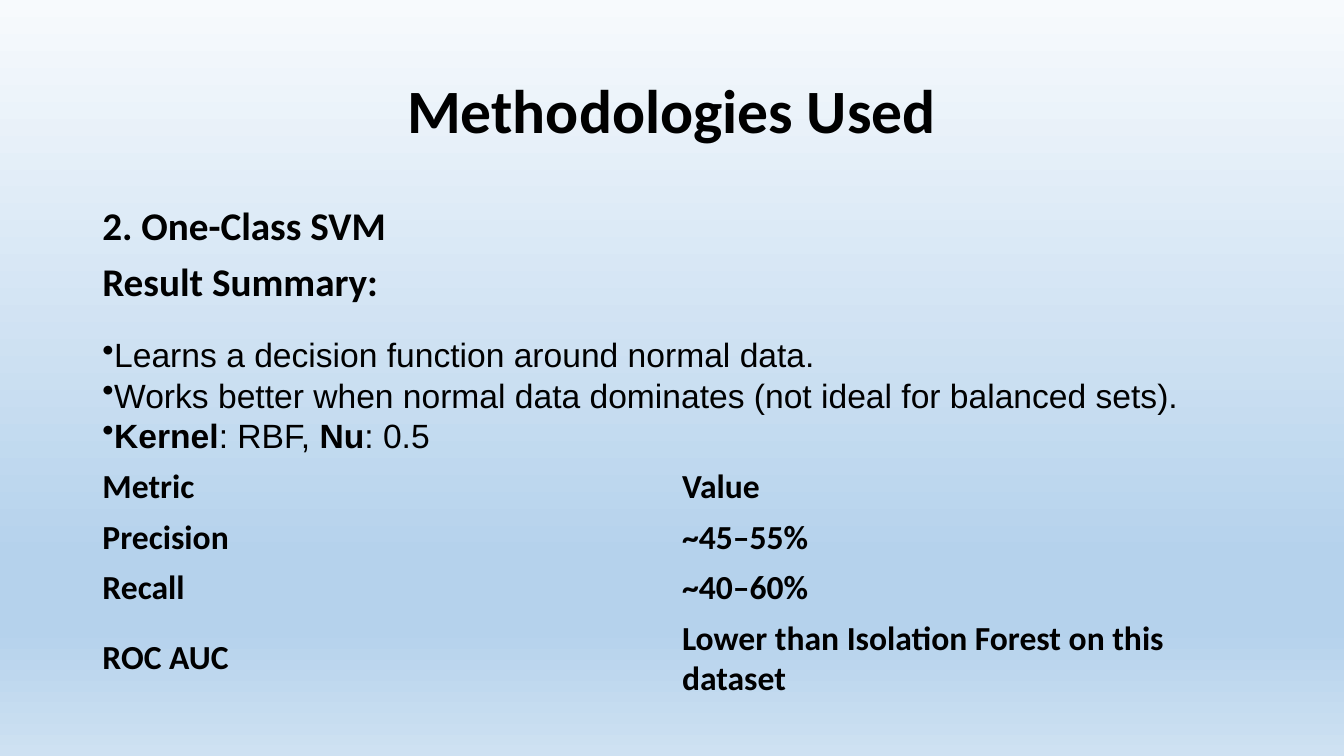
from lxml.etree import SubElement
from pptx import Presentation
from pptx.dml.color import RGBColor
from pptx.enum.text import MSO_ANCHOR, PP_ALIGN
from pptx.oxml.ns import qn
from pptx.util import Pt

# Content
TITLE = "Methodologies Used"
HEADINGS = ["2. One-Class SVM", "Result Summary:"]
# Each bullet is a list of (text, bold) runs
BULLETS = [
    [("Learns a decision function around normal data.", False)],
    [("Works better when normal data dominates (not ideal for balanced sets).", False)],
    [("Kernel", True), (": RBF, ", False), ("Nu", True), (": 0.5", False)],
]
METRICS = [
    ("Metric", "Value"),
    ("Precision", "~45–55%"),
    ("Recall", "~40–60%"),
    ("ROC AUC", "Lower than Isolation Forest on this dataset"),
]

THEME = {
    "text": RGBColor(0, 0, 0),
    "gradient": [(0, "F7FAFD"), (74, "B5D2EC"), (83, "B5D2EC"), (100, "CEE1F2")],
    "main_font": "Calibri",
    "bullet_font": "Arial",
    "title_size": 44,
    "heading_size": 28,
    "body_size": 24,
}

# Layout in points
LEFT, WIDTH = 66, 828
ROW_HEIGHT = 36


def style(font, size, name=THEME["main_font"], bold=True):
    font.name, font.size, font.bold = name, Pt(size), bold
    font.color.rgb = THEME["text"]


def add_text(slide, top, width, height, anchor=MSO_ANCHOR.TOP, wrap=True):
    shape = slide.shapes.add_textbox(Pt(LEFT), Pt(top), Pt(width), Pt(height))
    shape.text_frame.word_wrap = wrap
    shape.text_frame.vertical_anchor = anchor
    return shape.text_frame


def paint_background(slide):
    fill = slide.background.fill
    fill.gradient()
    fill.gradient_angle = 270
    stops = slide.element.find(".//" + qn("a:gsLst"))
    for stop in list(stops):
        stops.remove(stop)
    for position, color in THEME["gradient"]:
        stop = SubElement(stops, qn("a:gs"), pos=str(position * 1000))
        SubElement(stop, qn("a:srgbClr"), val=color)


def add_headings(slide):
    frame = add_text(slide, 144, WIDTH, 343)
    frame.text = "\n".join(HEADINGS)
    for index, paragraph in enumerate(frame.paragraphs):
        paragraph.line_spacing = 0.9
        paragraph.space_before = Pt(10 if index else 0)
        style(paragraph.runs[0].font, THEME["heading_size"])


def add_bullets(slide):
    frame = add_text(slide, 234.7, 790.6, 94.3, MSO_ANCHOR.MIDDLE, wrap=False)
    frame.text = "\n".join("" for _ in BULLETS)
    for paragraph, runs in zip(frame.paragraphs, BULLETS):
        SubElement(paragraph._p.get_or_add_pPr(), qn("a:buChar"), char="•")
        for text, bold in runs:
            run = paragraph.add_run()
            run.text = text
            style(run.font, THEME["body_size"], THEME["bullet_font"], bold)


def add_metrics(slide):
    columns = len(METRICS[0])
    frame = slide.shapes.add_table(len(METRICS), columns, Pt(LEFT), Pt(329.8),
                                   Pt(WIDTH), Pt(ROW_HEIGHT * len(METRICS)))
    table = frame.table
    table.first_row = table.horz_banding = False
    # Plain style without grid lines
    table._tbl.tblPr.find(qn("a:tableStyleId")).text = "{2D5ABB26-0587-4C30-8999-92F81FD0307C}"
    for row, values in enumerate(METRICS):
        for column, value in enumerate(values):
            cell = table.cell(row, column)
            cell.fill.background()
            cell.vertical_anchor = MSO_ANCHOR.MIDDLE
            cell.text_frame.text = value
            style(cell.text_frame.paragraphs[0].runs[0].font, THEME["body_size"])


def main():
    presentation = Presentation()
    presentation.slide_width, presentation.slide_height = Pt(960), Pt(540)
    slide = presentation.slides.add_slide(presentation.slide_layouts[6])
    paint_background(slide)

    # Title
    frame = add_text(slide, 28.8, WIDTH, 104.4, MSO_ANCHOR.MIDDLE)
    frame.text = TITLE
    paragraph = frame.paragraphs[0]
    paragraph.alignment = PP_ALIGN.CENTER
    paragraph.line_spacing = 0.9
    style(paragraph.runs[0].font, THEME["title_size"])

    add_headings(slide)
    add_bullets(slide)
    add_metrics(slide)
    presentation.save("out.pptx")


if __name__ == "__main__":
    main()
